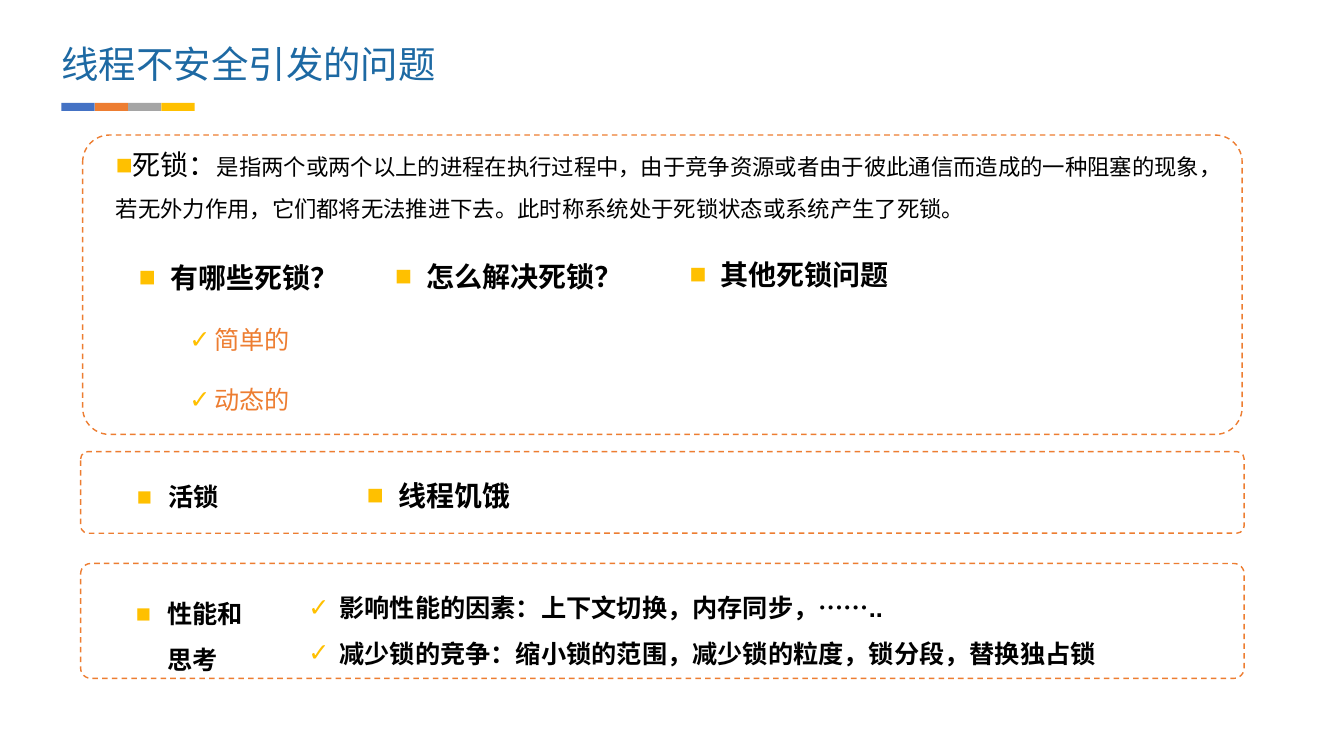
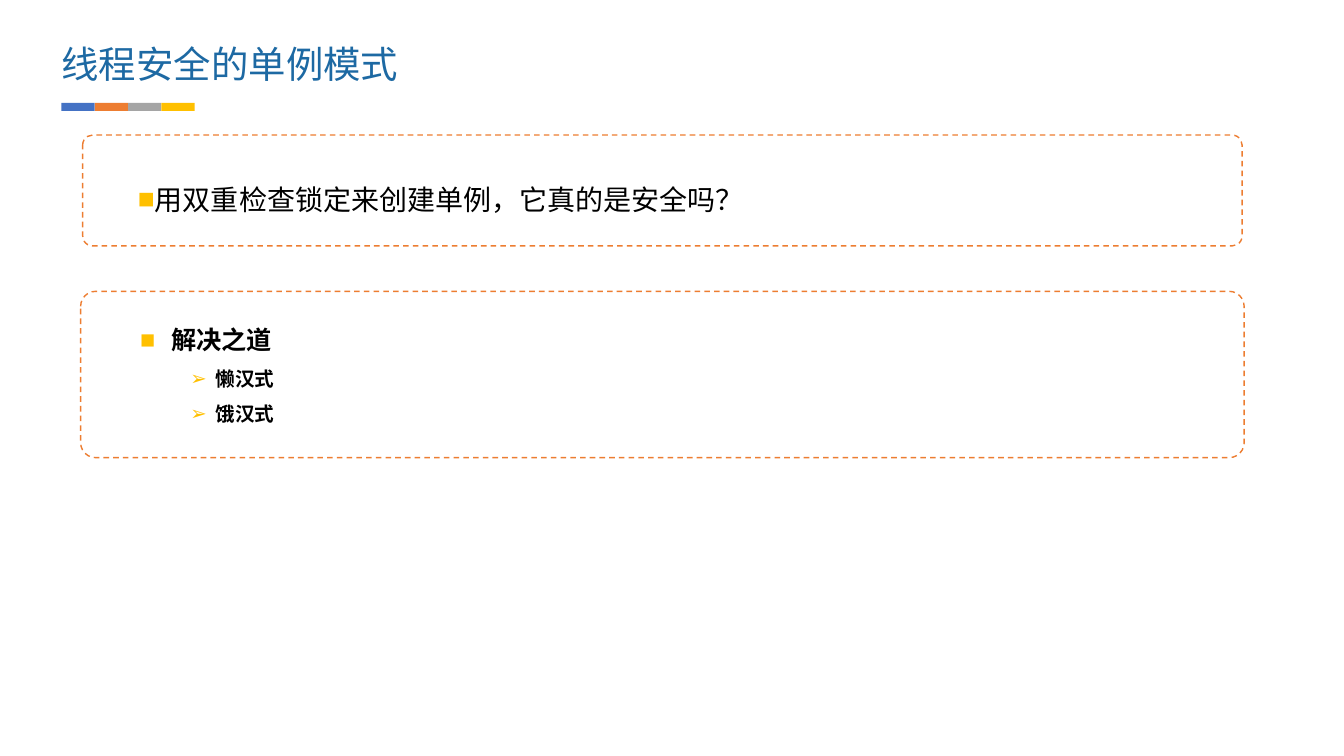
from dataclasses import dataclass

from lxml import etree
from pptx import Presentation
from pptx.dml.color import RGBColor
from pptx.enum import dml, shapes, text
from pptx.oxml import ns
from pptx.slide import Slide
from pptx.util import Inches, Pt

# Shared style
BLACK = RGBColor(0x00, 0x00, 0x00)
TITLE_BLUE = RGBColor(0x1D, 0x69, 0xA3)
BLUE = RGBColor(0x44, 0x72, 0xC4)
ORANGE = RGBColor(0xED, 0x7D, 0x31)
GREY = RGBColor(0xA5, 0xA5, 0xA5)
GOLD = RGBColor(0xFF, 0xC0, 0x00)
CJK_FONT = "Noto Sans CJK SC"
LATIN_FONT = "Arial"
SQUARE, CHECK, ARROW = "■", "✓", "➢"


@dataclass(frozen=True)
class Style:
    size: float
    bullet: str = SQUARE
    font: str = LATIN_FONT
    bold: bool = True
    color: RGBColor = BLACK
    level: int = 1
    margin: float = 0.31
    indent: float = -0.31
    spacing: float = 1.5


@dataclass(frozen=True)
class Line:
    text: str
    style: Style
    detail: str = ""
    detail_size: float = 16


@dataclass(frozen=True)
class Block:
    left: float
    top: float
    width: float
    height: float
    lines: tuple[Line, ...]
    wrap: bool = True


@dataclass(frozen=True)
class Frame:
    left: float
    top: float
    width: float
    height: float


@dataclass(frozen=True)
class Page:
    title: str
    blocks: tuple[Block, ...]
    frames: tuple[Frame, ...]


LEAD = Style(20, font=CJK_FONT, bold=False, margin=0.5, indent=0)
LEAD_REST = Style(16, bullet="", font=CJK_FONT, bold=False, margin=0.5, indent=0)
QUESTION = Style(20, spacing=2)
TOPIC_LARGE = Style(20)
TOPIC = Style(18)
POINT = Style(18, bullet=CHECK)
KIND = Style(18, bullet=CHECK, font=CJK_FONT, bold=False, color=ORANGE,
             level=2, margin=0.75, indent=-0.25, spacing=2)
SOLUTION = Style(14, bullet=ARROW, level=2, margin=0.75, indent=-0.25)

# Content
PAGES = (
    Page(
        "线程不安全引发的问题",
        (
            Block(0.55, 1.25, 11.85, 1.01, (
                Line("死锁：", LEAD, "是指两个或两个以上的进程在执行过程中，由于竞争资源"
                     "或者由于彼此通信而造成的一种阻塞的现象，"),
                Line("若无外力作用，它们都将无法推进下去。"
                     "此时称系统处于死锁状态或系统产生了死锁。", LEAD_REST),
            ), wrap=False),
            Block(1.28, 2.2, 2.77, 1.99, (
                Line("有哪些死锁？", QUESTION),
                Line("简单的", KIND),
                Line("动态的", KIND),
            )),
            Block(3.82, 2.19, 2.87, 0.77, (Line("怎么解决死锁？", QUESTION),)),
            Block(6.74, 2.17, 2.69, 0.77, (Line("其他死锁问题", QUESTION),)),
            Block(1.26, 4.58, 2.68, 0.56, (Line("活锁", TOPIC),)),
            Block(3.54, 4.53, 4.25, 0.61, (Line("线程饥饿", TOPIC_LARGE),)),
            Block(1.25, 5.74, 1.33, 0.95, (Line("性能和思考", TOPIC),)),
            Block(2.96, 5.68, 8.96, 1.01, (
                Line("影响性能的因素：上下文切换，内存同步，……..", POINT),
                Line("减少锁的竞争：缩小锁的范围，减少锁的粒度，锁分段，替换独占锁", POINT),
            )),
        ),
        (
            Frame(0.82, 1.34, 11.5, 2.97),
            Frame(0.8, 4.48, 11.54, 0.81),
            Frame(0.8, 5.59, 11.54, 1.14),
        ),
    ),
    Page(
        "线程安全的单例模式",
        (
            Block(0.77, 1.59, 6.81, 0.61, (
                Line("用双重检查锁定来创建单例，它真的是安全吗？", LEAD),
            ), wrap=False),
            Block(1.29, 3.02, 2.68, 1.72, (
                Line("解决之道", TOPIC),
                Line("懒汉式", SOLUTION),
                Line("饿汉式", SOLUTION),
            )),
        ),
        (
            Frame(0.82, 1.34, 11.5, 1.1),
            Frame(0.8, 2.89, 11.54, 1.65),
        ),
    ),
)


def set_font(paragraph, name: str, size: float, color: RGBColor, bold: bool = False) -> None:
    font = paragraph.font
    font.name, font.size, font.bold = name, Pt(size), bold
    font.color.rgb = color
    latin = paragraph._p.pPr.find(f".//{ns.qn('a:latin')}")
    east_asian = etree.Element(ns.qn("a:ea"), typeface=CJK_FONT)
    latin.addnext(east_asian)


def set_bullet(paragraph, style: Style) -> None:
    properties = paragraph._p.get_or_add_pPr()
    properties.set("marL", str(Inches(style.margin)))
    properties.set("indent", str(Inches(style.indent)))
    if not style.bullet:
        etree.SubElement(properties, ns.qn("a:buNone"))
        return
    tint = etree.SubElement(properties, ns.qn("a:buClr"))
    etree.SubElement(tint, ns.qn("a:srgbClr"), val=str(GOLD))
    etree.SubElement(properties, ns.qn("a:buFont"), typeface=LATIN_FONT)
    etree.SubElement(properties, ns.qn("a:buChar"), char=style.bullet)


def add_title(slide: Slide, title: str) -> None:
    box = slide.shapes.add_textbox(Inches(0.61), Inches(0.41), Inches(4.05), Inches(0.45))
    frame = box.text_frame
    frame.margin_left = frame.margin_right = frame.margin_top = frame.margin_bottom = 0
    frame.word_wrap = True
    frame.auto_size = text.MSO_AUTO_SIZE.SHAPE_TO_FIT_TEXT
    heading = frame.paragraphs[0]
    heading.text = title
    set_font(heading, CJK_FONT, 26.7, TITLE_BLUE)


def add_title_band(slide: Slide) -> None:
    band = slide.shapes.add_group_shape()
    for position, color in enumerate((BLUE, ORANGE, GREY, GOLD)):
        segment = band.shapes.add_shape(
            shapes.MSO_SHAPE.RECTANGLE, Inches(0.61 + position * 0.33), Inches(1.02),
            Inches(0.33), Inches(0.08))
        segment.shadow.inherit = False
        segment.fill.solid()
        segment.fill.fore_color.rgb = color
        segment.line.fill.background()


def add_block(slide: Slide, block: Block) -> None:
    box = slide.shapes.add_textbox(
        Inches(block.left), Inches(block.top), Inches(block.width), Inches(block.height))
    frame = box.text_frame
    frame.word_wrap = block.wrap
    frame.auto_size = text.MSO_AUTO_SIZE.SHAPE_TO_FIT_TEXT
    for position, line in enumerate(block.lines):
        paragraph = frame.add_paragraph() if position else frame.paragraphs[0]
        style = line.style
        paragraph.level = style.level
        paragraph.line_spacing = style.spacing
        set_bullet(paragraph, style)
        set_font(paragraph, style.font, style.size, style.color, style.bold)
        paragraph.add_run().text = line.text
        if line.detail:
            detail = paragraph.add_run()
            detail.text = line.detail
            detail.font.size = Pt(line.detail_size)


def add_frame(slide: Slide, frame: Frame) -> None:
    outline = slide.shapes.add_shape(
        shapes.MSO_SHAPE.ROUNDED_RECTANGLE, Inches(frame.left), Inches(frame.top),
        Inches(frame.width), Inches(frame.height))
    outline.adjustments[0] = 0.09
    outline.shadow.inherit = False
    outline.fill.background()
    outline.line.color.rgb = ORANGE
    outline.line.width = Pt(1)
    outline.line.dash_style = dml.MSO_LINE.DASH


def main() -> None:
    deck = Presentation()
    deck.slide_width, deck.slide_height = Inches(13.33), Inches(7.5)
    blank = deck.slide_layouts[6]
    for page in PAGES:
        slide = deck.slides.add_slide(blank)
        add_title(slide, page.title)
        add_title_band(slide)
        for block in page.blocks:
            add_block(slide, block)
        for frame in page.frames:
            add_frame(slide, frame)
    deck.save("out.pptx")


if __name__ == "__main__":
    main()
